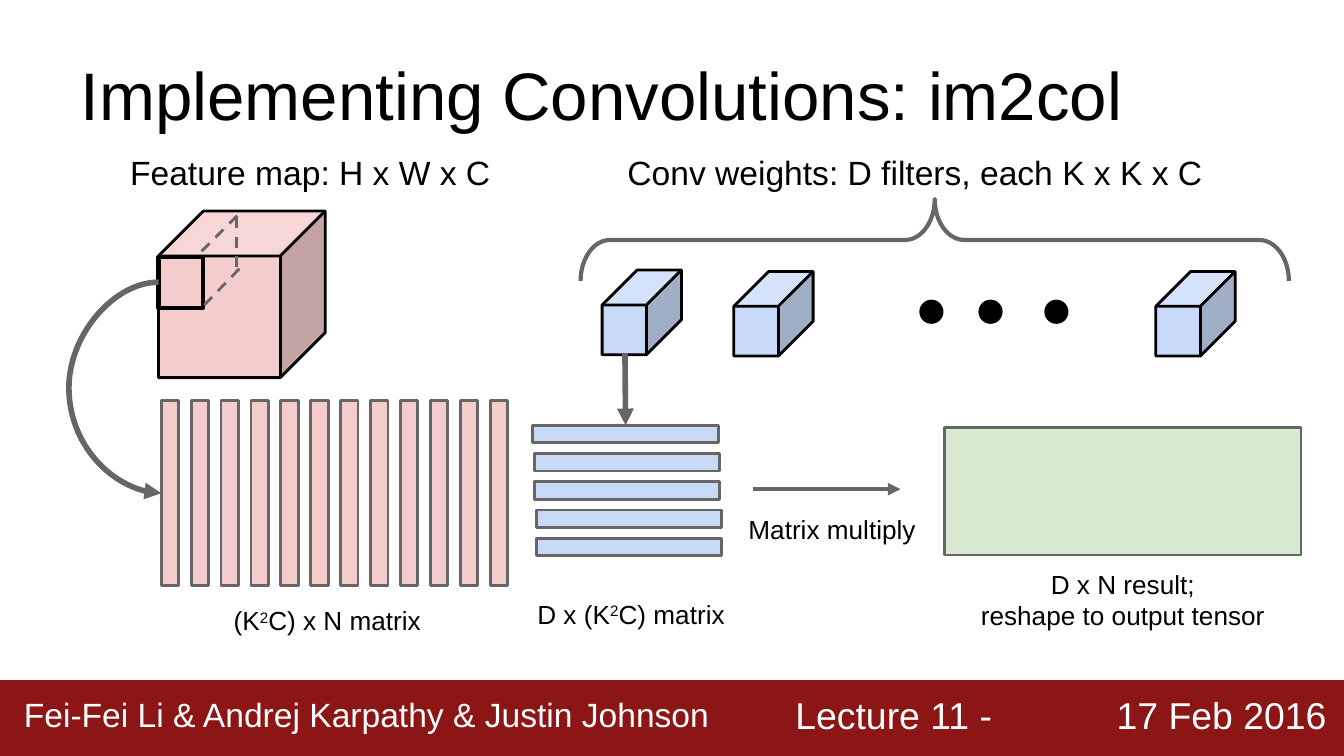
"""Build the im2col slide on a grid of tenth-inch cells."""
import dataclasses
import typing

import pptx
import pptx.dml.color
import pptx.enum.dml
import pptx.enum.shapes
import pptx.enum.text
import pptx.oxml.ns
import pptx.util
from lxml import etree

COLS, ROWS = 100, 56.25
CELL = pptx.util.Inches(0.1)
FONT = "Arial"
HUES = {"red": "8C1515", "pink": "F4CCCC", "blue": "C9DAF8", "green": "D9EAD3",
        "gray": "666666", "black": "000000", "white": "FFFFFF"}
KIND = pptx.enum.shapes.MSO_SHAPE
LINK = pptx.enum.shapes.MSO_CONNECTOR
ALIGN = pptx.enum.text.PP_ALIGN


class Box(typing.NamedTuple):
    """Place and size in grid cells."""
    col: float
    row: float
    cols: float
    rows: float


@dataclasses.dataclass
class Label:
    """Text in a box; a caret pair marks a superscript."""
    text: str
    box: Box
    size: int = 14
    hue: str = "black"
    align: typing.Any = ALIGN.LEFT


def cells(count: float) -> int:
    """Turn grid cells into a length."""
    return round(count * CELL)


def color(hue: str) -> pptx.dml.color.RGBColor:
    """Look up a colour by name."""
    return pptx.dml.color.RGBColor.from_string(HUES[hue])


def child(node, tag: str, **attrs: str):
    """Append an XML element in the drawing namespace."""
    return etree.SubElement(node, pptx.oxml.ns.qn(tag), **attrs)


def style(font, size: int, hue: str) -> None:
    """Set face, size and colour."""
    font.name, font.size = FONT, pptx.util.Pt(size)
    font.color.rgb = color(hue)


def draw(slide, kind, box: Box, fill: str = "", line: str = "",
         width: float = 1.5, adjust: tuple = ()):
    """Add a preset shape."""
    shape = slide.shapes.add_shape(kind, *map(cells, box))
    shape.shadow.inherit = False
    if fill:
        shape.fill.solid()
        shape.fill.fore_color.rgb = color(fill)
    else:
        shape.fill.background()
    if line:
        shape.line.color.rgb = color(line)
        shape.line.width = pptx.util.Pt(width)
    else:
        shape.line.fill.background()
    for spot, value in enumerate(adjust):
        shape.adjustments[spot] = value
    return shape


def write(slide, label: Label) -> None:
    """Add a text box."""
    frame = slide.shapes.add_textbox(*map(cells, label.box)).text_frame
    frame.word_wrap = True
    frame.margin_left = frame.margin_right = CELL
    frame.margin_top = frame.margin_bottom = CELL
    for spot, text in enumerate(label.text.split("\n")):
        para = frame.add_paragraph() if spot else frame.paragraphs[0]
        para.alignment = label.align
        for turn, part in enumerate(text.split("^")):
            run = para.add_run()
            run.text = part
            style(run.font, label.size, label.hue)
            if turn % 2:
                run.font._element.set("baseline", "30000")


def join(slide, start: tuple, end: tuple, width: float, kind=LINK.STRAIGHT,
         dash: bool = False, head: bool = False):
    """Add a gray connector."""
    link = slide.shapes.add_connector(kind, *map(cells, start + end))
    link.line.color.rgb = color("gray")
    link.line.width = pptx.util.Pt(width)
    if dash:
        link.line.dash_style = pptx.enum.dml.MSO_LINE.DASH
    if head:
        child(link.line._get_or_add_ln(), "a:tailEnd", type="triangle")
    child(link._element.spPr, "a:effectLst")
    return link


def frame(slide) -> None:
    """Add the title and the footer band."""
    title = slide.shapes.title
    title.left, title.top, title.width, title.height = map(cells, Box(5, 2.3, 90, 9.4))
    text = title.text_frame
    text.text = "Implementing Convolutions: im2col"
    text.vertical_anchor = pptx.enum.text.MSO_ANCHOR.MIDDLE
    text.margin_left = text.margin_right = CELL
    text.paragraphs[0].alignment = ALIGN.LEFT
    style(text.paragraphs[0].runs[0].font, 36, "black")
    draw(slide, KIND.RECTANGLE, Box(0, 50.6, COLS, ROWS - 50.6), "red")
    for label in (
        Label("Lecture 11 -", Box(58.2, 50.5, 38.3, 5.9), 20, "white"),
        Label("Fei-Fei Li & Andrej Karpathy & Justin Johnson",
              Box(0.8, 50.6, 57.4, 5.9), 18, "white"),
        Label("17 Feb 2016", Box(82.1, 50.5, 17.9, 5.9), 20, "white"),
    ):
        write(slide, label)


def feature(slide) -> None:
    """Draw the feature map and its column matrix."""
    draw(slide, KIND.CUBE, Box(11.8, 15.7, 12.4, 12.4), "pink", "black", adjust=(0.27,))
    patch = draw(slide, KIND.RECTANGLE, Box(11.8, 19.1, 3.3, 3.8), "", "black", 2.25)
    for start, end in (((15, 18.7), (18.1, 15.6)), ((15.2, 22.7), (18.2, 19.6)),
                       ((17.6, 19.9), (17.6, 15.9))):
        join(slide, start, end, 1.5, dash=True)
    bars = [draw(slide, KIND.RECTANGLE, Box(12 + 2.225 * i, 29.8, 1.3, 13.8),
                 "pink", "gray") for i in range(12)]
    bend = join(slide, (11.8, 21), (12, 36.7), 3, LINK.CURVE, head=True)
    bend.begin_connect(patch, 1)
    bend.end_connect(bars[0], 1)
    guides = bend._element.spPr.prstGeom.get_or_add_avLst()
    child(guides, "a:gd", name="adj1", fmla="val -3324000")


def weights(slide) -> None:
    """Draw the filters and their row matrix."""
    brace = draw(slide, KIND.RIGHT_BRACE, Box(66.5, -8.5, 6.1, 52.7), "", "gray",
                 2.25, (0.36, 0.5))
    brace.rotation = 270
    for col, row in ((44.8, 20.1), (54.6, 20.2), (86, 20.2)):
        draw(slide, KIND.CUBE, Box(col, row, 5.9, 6.3), "blue", "black", adjust=(0.44,))
    for col in (68.4, 72.8, 77.7):
        draw(slide, KIND.OVAL, Box(col, 22.3, 1.8, 1.8), "black")
    bars = [draw(slide, KIND.RECTANGLE, Box(col, 31.65 + 2.1 * i, 13.8, 1.3),
                 "blue", "gray")
            for i, col in enumerate((39.65, 39.75, 39.75, 39.9, 39.9))]
    drop = join(slide, (46.5, 26.3), (46.6, 31.7), 3, head=True)
    drop.end_connect(bars[0], 0)


def main() -> None:
    """Build and save the slide."""
    deck = pptx.Presentation()
    deck.slide_width, deck.slide_height = cells(COLS), cells(ROWS)
    slide = deck.slides.add_slide(deck.slide_layouts[5])
    frame(slide)
    feature(slide)
    weights(slide)
    draw(slide, KIND.RECTANGLE, Box(70.3, 31.8, 26.5, 9.5), "green", "gray")
    join(slide, (56, 36.4), (67, 36.4), 2.25, head=True)
    for label in (
        Label("Feature map: H x W x C", Box(8.7, 10.3, 29.8, 4.6), 18),
        Label("Conv weights: D filters, each K x K x C", Box(45.7, 10.3, 47.1, 4.6), 18),
        Label("(K^2^C) x N matrix", Box(16.4, 44, 17.4, 5.3)),
        Label("D x (K^2^C) matrix", Box(39, 43.5, 16.4, 5.3)),
        Label("D x N result;\nreshape to output tensor", Box(70.3, 41.3, 26.5, 5.3),
              align=ALIGN.CENTER),
        Label("Matrix multiply", Box(54.7, 37.2, 14.5, 5.3)),
    ):
        write(slide, label)
    deck.save("out.pptx")


if __name__ == "__main__":
    main()
